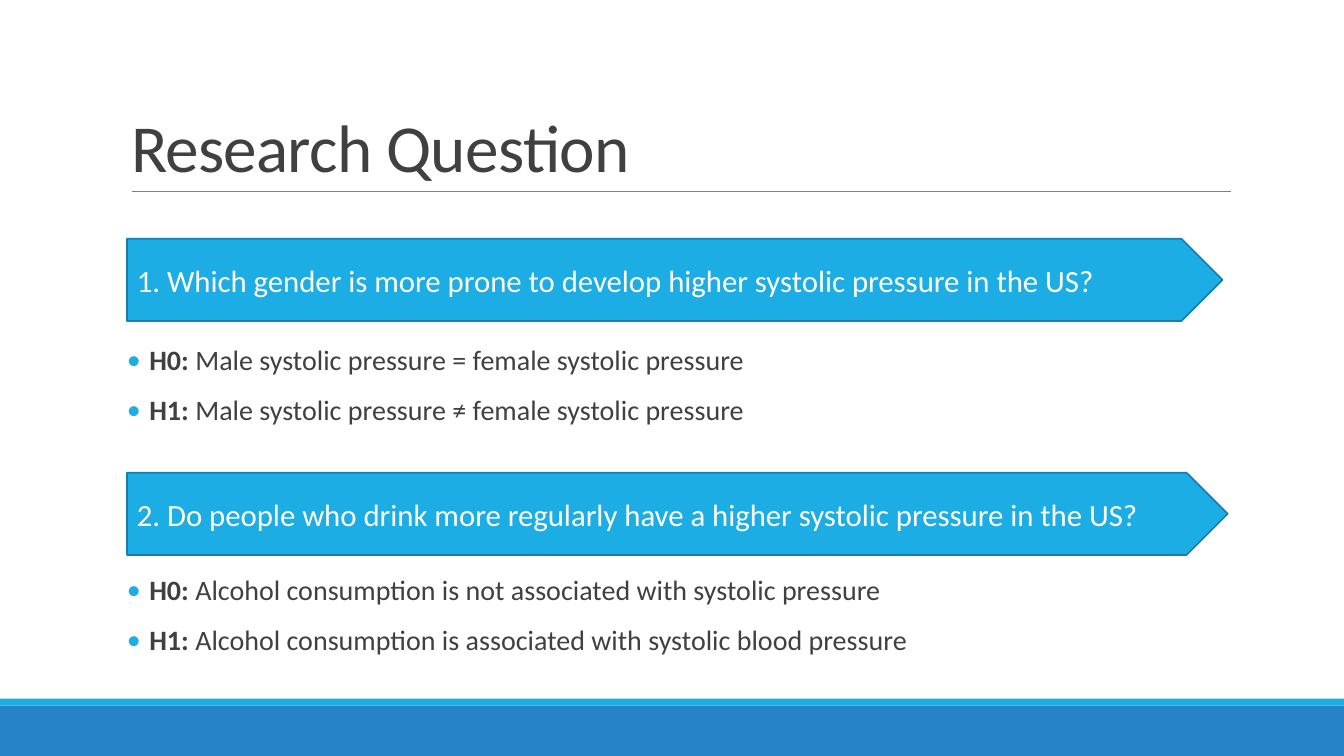
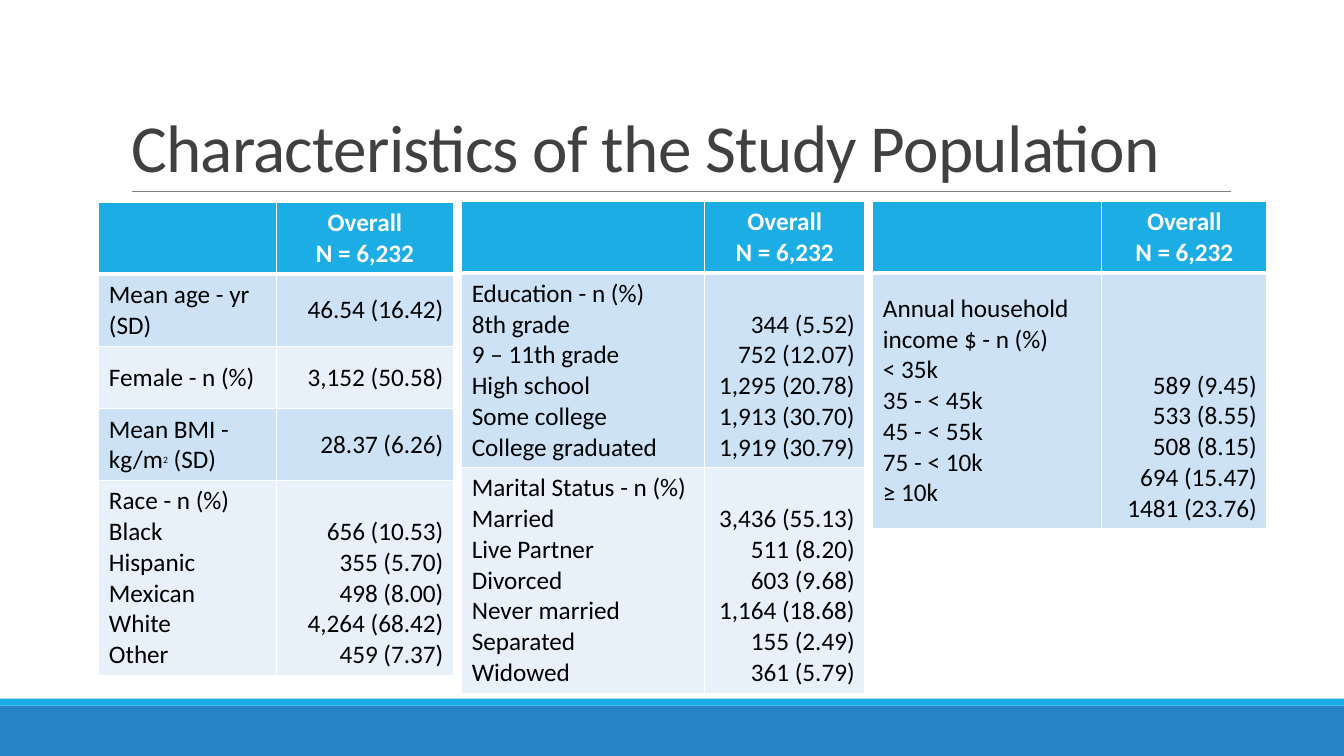
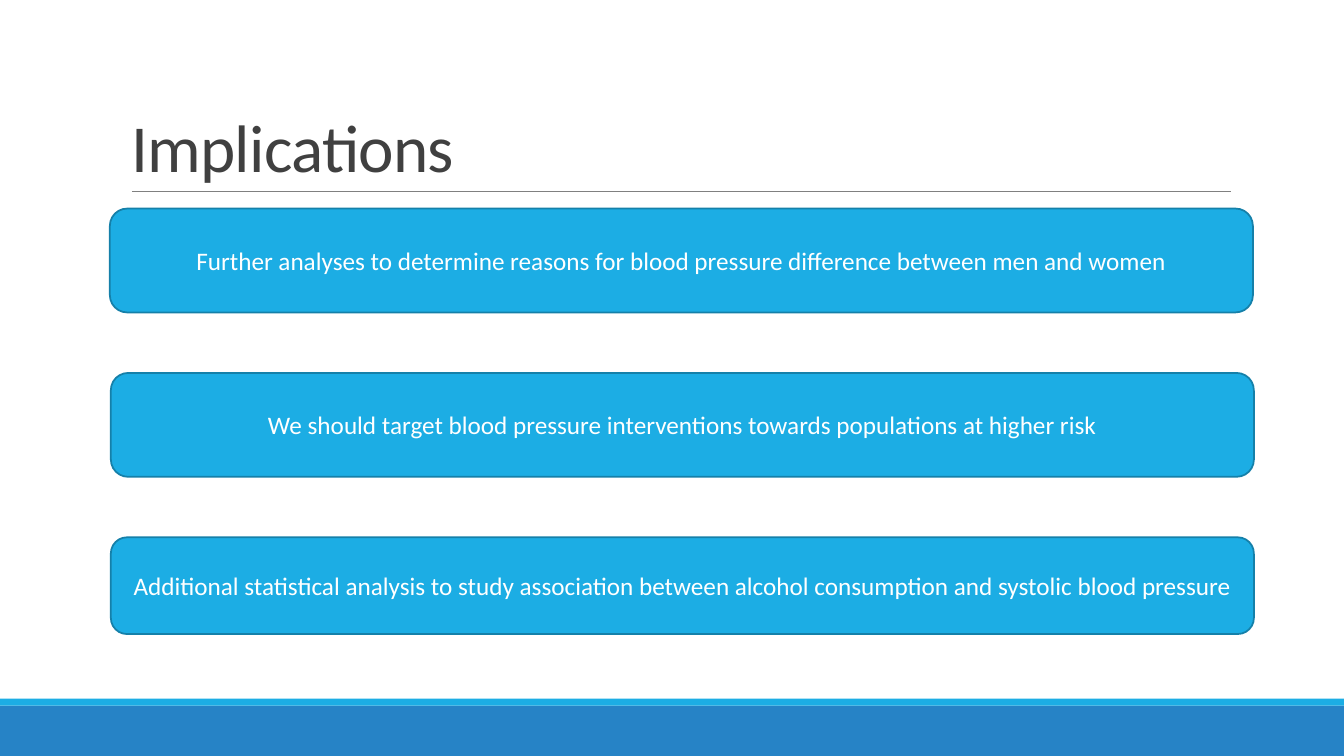
from typing import NamedTuple

from lxml.etree import SubElement
from pptx import Presentation
from pptx.dml.color import RGBColor
from pptx.enum.shapes import MSO_CONNECTOR, MSO_SHAPE
from pptx.enum.text import MSO_ANCHOR, MSO_AUTO_SIZE, PP_ALIGN
from pptx.oxml.ns import qn
from pptx.util import Pt

BLUE = RGBColor(0x26, 0x83, 0xC6)
CYAN = RGBColor(0x1C, 0xAD, 0xE4)
TEAL = RGBColor(0x15, 0x80, 0xA9)
GRAY = RGBColor(0x80, 0x80, 0x80)
CHARCOAL = RGBColor(0x40, 0x40, 0x40)
BLACK = RGBColor(0x00, 0x00, 0x00)
WHITE = RGBColor(0xFF, 0xFF, 0xFF)
ROW_TINTS = (RGBColor(0xCD, 0xE3, 0xF5), RGBColor(0xE8, 0xF1, 0xFA))


class Span(NamedTuple):
    """A piece of text with one look."""

    text: str
    bold: bool = False
    raised: bool = False


class Deck:
    """Holds the style, the presentation and the current page."""

    font = "Calibri"
    wide, high = 960, 540

    def __init__(self):
        """Start a widescreen presentation."""
        self.deck = Presentation()
        self.deck.slide_width, self.deck.slide_height = Pt(self.wide), Pt(self.high)
        self.page = None

    def add_text(self, frame, paragraphs, size, color, align=PP_ALIGN.LEFT):
        """Fill a text frame with paragraphs given as strings or lists of spans."""
        for index, spans in enumerate(paragraphs):
            para = frame.add_paragraph() if index else frame.paragraphs[0]
            para.alignment = align
            for span in [Span(spans)] if isinstance(spans, str) else spans:
                run = para.add_run()
                run.text = span.text
                run.font.name = self.font
                run.font.size = Pt(12 if span.raised else size)
                run.font.bold = span.bold
                run.font.color.rgb = color
                if span.raised:
                    run.font._element.set("baseline", "30000")
        return frame.paragraphs

    def add_page(self, title):
        """Add a page with its title, rule and bottom bands."""
        self.page = self.deck.slides.add_slide(self.deck.slide_layouts[5])
        self.shape(MSO_SHAPE.RECTANGLE, 0, 504, self.wide, 36, BLUE)
        self.shape(MSO_SHAPE.RECTANGLE, 0, 499, self.wide, 5, CYAN)
        rule = self.page.shapes.add_connector(
            MSO_CONNECTOR.STRAIGHT, Pt(94.3), Pt(136.8), Pt(879.1), Pt(136.8))
        rule.line.color.rgb = GRAY
        rule.line.width = Pt(0.5)
        SubElement(rule._element.spPr, qn("a:effectLst"))
        box = self.page.shapes.title
        box.left, box.top, box.width, box.height = Pt(86.4), Pt(22.3), Pt(792), Pt(114.5)
        frame = box.text_frame
        frame.auto_size = MSO_AUTO_SIZE.NONE
        frame.vertical_anchor = MSO_ANCHOR.BOTTOM
        para = self.add_text(frame, [title], 48, CHARCOAL)[0]
        para.line_spacing = 0.85
        para.runs[0].font._element.set("spc", "-50")

    def shape(self, kind, left, top, width, height, fill, outline=None):
        """Add a flat preset shape."""
        shape = self.page.shapes.add_shape(kind, Pt(left), Pt(top), Pt(width), Pt(height))
        shape.shadow.inherit = False
        shape.fill.solid()
        shape.fill.fore_color.rgb = fill
        if outline is None:
            shape.line.fill.background()
        else:
            shape.line.color.rgb = outline
            shape.line.width = Pt(1.25)
        return shape

    def banner(self, kind, left, top, width, height, text, size, align):
        """Add an outlined cyan shape with white text."""
        frame = self.shape(kind, left, top, width, height, CYAN, TEAL).text_frame
        frame.vertical_anchor = MSO_ANCHOR.MIDDLE
        self.add_text(frame, [text], size, WHITE, align)

    def bullets(self, left, top, width, height, paragraphs):
        """Add a bulleted text box."""
        box = self.page.shapes.add_textbox(Pt(left), Pt(top), Pt(width), Pt(height))
        frame = box.text_frame
        frame.word_wrap = True
        frame.margin_left = frame.margin_right = 0
        for para in self.add_text(frame, paragraphs, 20, CHARCOAL, PP_ALIGN.JUSTIFY):
            para.line_spacing = 0.9
            para.space_before, para.space_after = Pt(12), Pt(2)
            properties = para._p.get_or_add_pPr()
            properties.set("marL", str(Pt(16)))
            properties.set("indent", str(-Pt(16)))
            tint = SubElement(properties, qn("a:buClr"))
            SubElement(tint, qn("a:srgbClr"), val=str(CYAN))
            SubElement(properties, qn("a:buFont"), typeface=self.font)
            SubElement(properties, qn("a:buChar"), char="•")

    def cell(self, cell, fill, top_line, bottom_line, anchor):
        """Give a table cell its white borders, fill and anchor."""
        properties = cell._tc.get_or_add_tcPr()
        for side, width in (("L", 1), ("R", 1), ("T", top_line), ("B", bottom_line)):
            border = SubElement(properties, qn("a:ln" + side), w=str(Pt(width)))
            SubElement(SubElement(border, qn("a:solidFill")), qn("a:srgbClr"), val=str(WHITE))
        cell.fill.solid()
        cell.fill.fore_color.rgb = fill
        cell.vertical_anchor = anchor

    def table(self, left, top, widths, heights, rows):
        """Add a table of labels and values under the overall heading."""
        table = self.page.shapes.add_table(
            len(heights), 2, Pt(left), Pt(top), Pt(sum(widths)), Pt(sum(heights))).table
        table.horz_banding = False
        for column, width in zip(table.columns, widths):
            column.width = Pt(width)
        for row, height in zip(table.rows, heights):
            row.height = Pt(height)
        for column in range(2):
            self.cell(table.cell(0, column), CYAN, 1, 3, MSO_ANCHOR.MIDDLE)
        heading = [[Span("Overall", bold=True)], [Span("N = 6,232", bold=True)]]
        self.add_text(table.cell(0, 1).text_frame, heading, 18, WHITE, PP_ALIGN.CENTER)
        for number, (labels, values) in enumerate(rows, 1):
            fill = ROW_TINTS[(number - 1) % 2]
            top_line = 3 if number == 1 else 1
            anchor = MSO_ANCHOR.BOTTOM if len(values) > 1 else MSO_ANCHOR.MIDDLE
            label, value = table.cell(number, 0), table.cell(number, 1)
            self.cell(label, fill, top_line, 1, MSO_ANCHOR.MIDDLE)
            self.cell(value, fill, top_line, 1, anchor)
            self.add_text(label.text_frame, labels, 18, BLACK)
            self.add_text(value.text_frame, values, 18, BLACK, PP_ALIGN.RIGHT)


def research_question(deck):
    """Build the page of questions and hypotheses."""
    deck.add_page("Research Question")
    questions = (
        (170.6, 782.6, 244.1,
         "1. Which gender is more prone to develop higher systolic pressure in the US?",
         "Male systolic pressure = female systolic pressure",
         "Male systolic pressure ≠ female systolic pressure"),
        (337.7, 786.2, 408.2,
         "2. Do people who drink more regularly have a higher systolic pressure in the US?",
         "Alcohol consumption is not associated with systolic pressure",
         "Alcohol consumption is associated with systolic blood pressure"),
    )
    for top, width, list_top, question, *hypotheses in questions:
        deck.banner(MSO_SHAPE.PENTAGON, 90.7, top, width, 58.7, question, 22, PP_ALIGN.LEFT)
        deck.bullets(90.7, list_top, 684, 68.4, [
            [Span(f"H{number}:", bold=True), Span(" " + text)]
            for number, text in enumerate(hypotheses)])


def study_population(deck):
    """Build the page with three tables."""
    deck.add_page("Characteristics of the Study Population")
    deck.table(70.6, 144.7, (126.7, 126.7), (50.4, 51.5, 44.6, 51.5, 138.6), (
        (["Mean age - yr (SD)"], ["46.54 (16.42)"]),
        (["Female - n (%)"], ["3,152 (50.58)"]),
        ([[Span("Mean BMI - kg/m"), Span("2", raised=True), Span(" (SD)")]], ["28.37 (6.26)"]),
        (["Race - n (%)", "Black", "Hispanic", "Mexican", "White", "Other"],
         ["656 (10.53)", "355 (5.70)", "498 (8.00)", "4,264 (68.42)", "459 (7.37)"]),
    ))
    deck.table(329.8, 144, (173.5, 114.5), (51.1, 138.2, 160.6), (
        (["Education - n (%)", "8th grade", "9 – 11th grade", "High school", "Some college",
          "College graduated"],
         ["344 (5.52)", "752 (12.07)", "1,295 (20.78)", "1,913 (30.70)", "1,919 (30.79)"]),
        (["Marital Status - n (%)", "Married", "Live Partner", "Divorced", "Never married",
          "Separated", "Widowed"],
         ["3,436 (55.13)", "511 (8.20)", "603 (9.68)", "1,164 (18.68)", "155 (2.49)",
          "361 (5.79)"]),
    ))
    deck.table(623.5, 144, (163.4, 118.1), (51.1, 182.6), (
        (["Annual household income $ - n (%)", "< 35k", "35 - < 45k", "45 - < 55k",
          "75 - < 10k", "≥ 10k"],
         ["589 (9.45)", "533 (8.55)", "508 (8.15)", "694 (15.47)", "1481 (23.76)"]),
    ))


def implications(deck):
    """Build the page of three evenly spaced statements."""
    deck.add_page("Implications")
    statements = (
        (78.5, 74.2, "Further analyses to determine reasons for blood pressure difference "
                     "between men and women"),
        (79.2, 74.2, "We should target blood pressure interventions towards populations "
                     "at higher risk"),
        (79.2, 69.1, "Additional statistical analysis to study association between alcohol "
                     "consumption and systolic blood pressure"),
    )
    for index, (left, height, text) in enumerate(statements):
        deck.banner(MSO_SHAPE.ROUNDED_RECTANGLE, left, 149 + 117.4 * index, 816.5, height,
                    text, 18, PP_ALIGN.CENTER)


def main():
    """Build and save the presentation."""
    deck = Deck()
    research_question(deck)
    study_population(deck)
    implications(deck)
    deck.deck.save("out.pptx")


if __name__ == "__main__":
    main()
